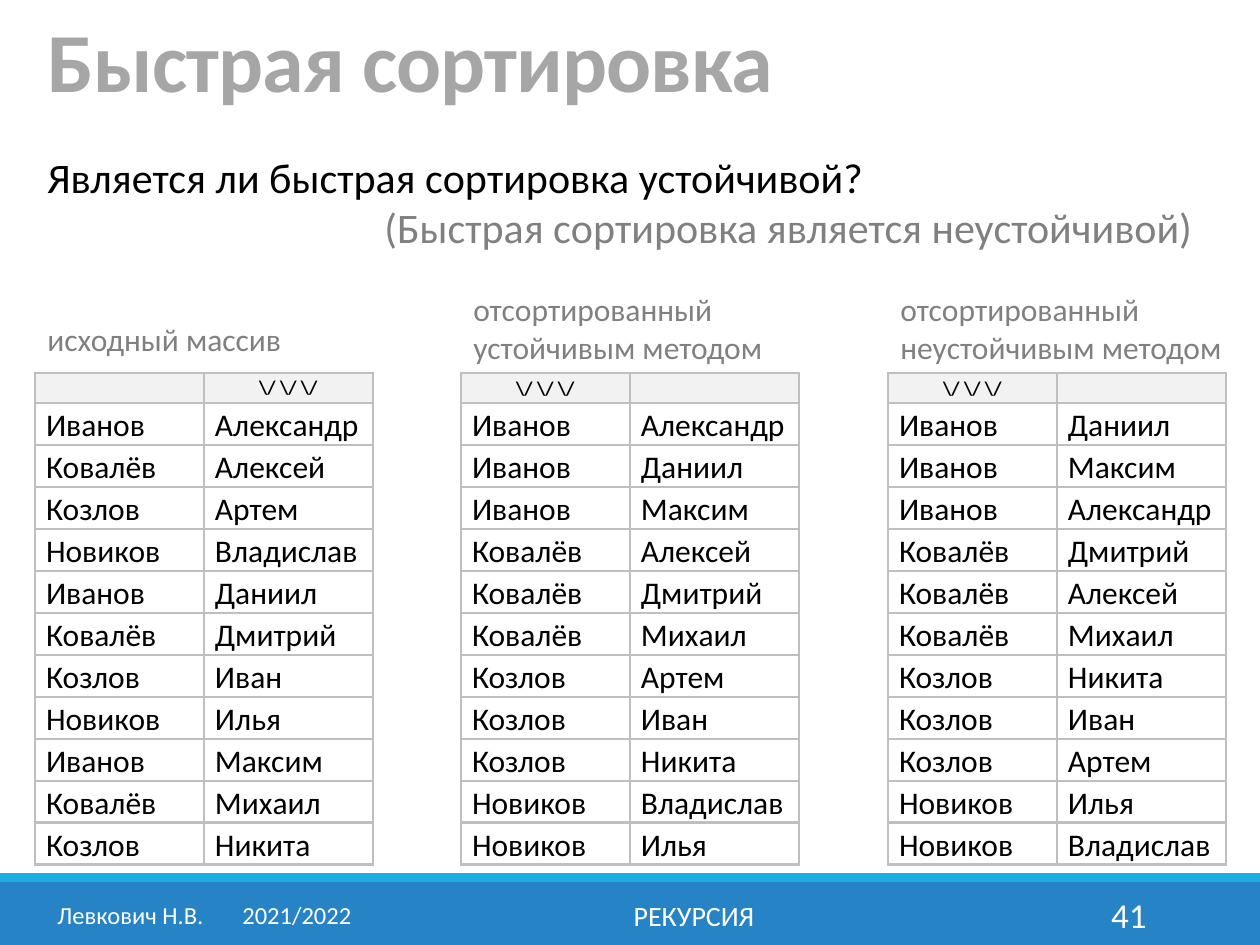
from lxml import etree
from pptx import Presentation
from pptx import util as u
from pptx.dml.color import RGBColor
from pptx.enum import shapes, text
from pptx.oxml import ns

PX = 914400 // 126
MID = text.MSO_ANCHOR.MIDDLE
TOP = text.MSO_ANCHOR.TOP
LEFT, MIDDLE, RIGHT = text.PP_ALIGN.LEFT, text.PP_ALIGN.CENTER, text.PP_ALIGN.RIGHT


def px(*vals):
    return [u.Emu(v * 914400 // 126) for v in vals]


def hue(code):
    return RGBColor.from_string(code)


class Deck:
    font = "Calibri"
    grey = "808080"
    edge = "BFBFBF"
    head = "F2F2F2"

    def __init__(self, wide, high):
        self.prs = Presentation()
        self.prs.slide_width, self.prs.slide_height = px(wide, high)
        self.slide = self.prs.slides.add_slide(self.prs.slide_layouts[5])

    def run(self, para, words, size, color, bold=False):
        run = para.add_run()
        run.text = words
        font = run.font
        font.name, font.size, font.bold = self.font, u.Pt(size), bold
        font.color.rgb = hue(color)
        return run

    def title(self, box, words):
        shape = self.slide.shapes.title
        shape.left, shape.top, shape.width, shape.height = px(*box)
        frame = shape.text_frame
        frame.auto_size = text.MSO_AUTO_SIZE.NONE
        frame.vertical_anchor = text.MSO_ANCHOR.BOTTOM
        para = frame.paragraphs[0]
        para.alignment, para.line_spacing = LEFT, 0.85
        run = self.run(para, words, 48, "A6A6A6", True)
        run.font._element.set("spc", "-50")

    def bar(self, box, color):
        rect = self.slide.shapes.add_shape(shapes.MSO_SHAPE.RECTANGLE, *px(*box))
        rect.shadow.inherit = False
        rect.fill.solid()
        rect.fill.fore_color.rgb = hue(color)
        rect.line.fill.background()

    def label(self, box, words, size, color, align=LEFT, anchor=TOP, tab=None):
        frame = self.slide.shapes.add_textbox(*px(*box)).text_frame
        frame.word_wrap = True
        frame.vertical_anchor = anchor
        para = frame.paragraphs[0]
        para.alignment = align
        if tab:
            stops = etree.SubElement(para._p.get_or_add_pPr(), ns.qn("a:tabLst"))
            etree.SubElement(stops, ns.qn("a:tab"), pos=str(px(tab)[0]), algn="l")
        self.run(para, words, size, color)

    def border(self, cell):
        props = cell._tc.get_or_add_tcPr()
        for spot, side in enumerate(("lnL", "lnR", "lnT", "lnB")):
            line = etree.Element(ns.qn("a:" + side), w=str(u.Pt(1.5)))
            fill = etree.SubElement(line, ns.qn("a:solidFill"))
            etree.SubElement(fill, ns.qn("a:srgbClr"), val=self.edge)
            props.insert(spot, line)

    def cell(self, cell, words, anchor, top):
        cell.margin_left = cell.margin_right = cell.margin_top = px(1)[0]
        cell.margin_bottom = 0
        cell.vertical_anchor = anchor
        para = cell.text_frame.paragraphs[0]
        para.line_spacing = 1.07
        if top:
            cell.fill.solid()
            cell.fill.fore_color.rgb = hue(self.head)
            para.alignment = MIDDLE
        else:
            cell.fill.background()
            para._p.get_or_add_pPr().set("marL", str(px(10)[0]))
        if words:
            self.run(para, words, 11 if top else 18, "000000", top)
        else:
            etree.SubElement(para._p, ns.qn("a:endParaRPr"), sz="1100")
        self.border(cell)

    def table(self, left, top, rows, anchor):
        first, rest, col = 30, 42, 169
        high = first + rest * (len(rows) - 1)
        grid = self.slide.shapes.add_table(
            len(rows), 2, *px(left, top, col * 2, high)).table
        grid.first_row = grid.horz_banding = False
        for column in grid.columns:
            column.width = px(col)[0]
        for r, row in enumerate(rows):
            grid.rows[r].height = px(rest if r else first)[0]
            for c, words in enumerate(row):
                self.cell(grid.cell(r, c), words, anchor, r == 0)


def pairs(groups):
    return [(last, name) for last, names in groups for name in names.split()]


def main():
    deck = Deck(1260, 945)
    deck.bar((0, 882, 1260, 63), "2683C6")
    deck.bar((0, 873, 1260, 9), "1CADE4")
    deck.title((35, 0, 1191, 116), "Быстрая сортировка")
    deck.label((35, 145, 1191, 63), "Является ли быстрая сортировка устойчивой?", 24, "000000")
    deck.label((372, 195, 843, 63), "(Быстрая сортировка является неустойчивой)", 24, deck.grey)

    mark = "\\/ \\/ \\/"
    lasts = ["Иванов", "Ковалёв", "Козлов", "Новиков"]
    names = ("Александр Алексей Артем Владислав Даниил Дмитрий "
             "Иван Илья Максим Михаил Никита").split()
    source = [(lasts[i % 4], name) for i, name in enumerate(names)]
    stable = sorted(source, key=lambda row: row[0])
    stable = [row for last in lasts for row in stable if row[0] == last]
    loose = pairs(zip(lasts, ["Даниил Максим Александр", "Дмитрий Алексей Михаил",
                              "Никита Иван Артем", "Илья Владислав"]))
    lists = [
        (35, 314, 328, "исходный массив", ("", mark), source, TOP),
        (461, 284, 328, "отсортированный устойчивым методом", (mark, ""), stable, MID),
        (888, 284, 348, "отсортированный неустойчивым методом", (mark, ""), loose, MID),
    ]
    for left, top, wide, words, head, rows, anchor in lists:
        deck.table(left, 373, [head] + rows, anchor)
        deck.label((left, top, wide, 373 - top), words, 18, deck.grey)

    for left, wide, words, size, align, tab in [
        (40, 329, "Левкович Н.В.\t2021/2022", 14, MIDDLE, 185),
        (381, 626, "РЕКУРСИЯ", 16, MIDDLE, None),
        (1023, 136, "41", 20, RIGHT, None),
    ]:
        deck.label((left, 890, wide, 50), words, size, "FFFFFF", align, MID, tab)
    deck.prs.save("out.pptx")


if __name__ == "__main__":
    main()
